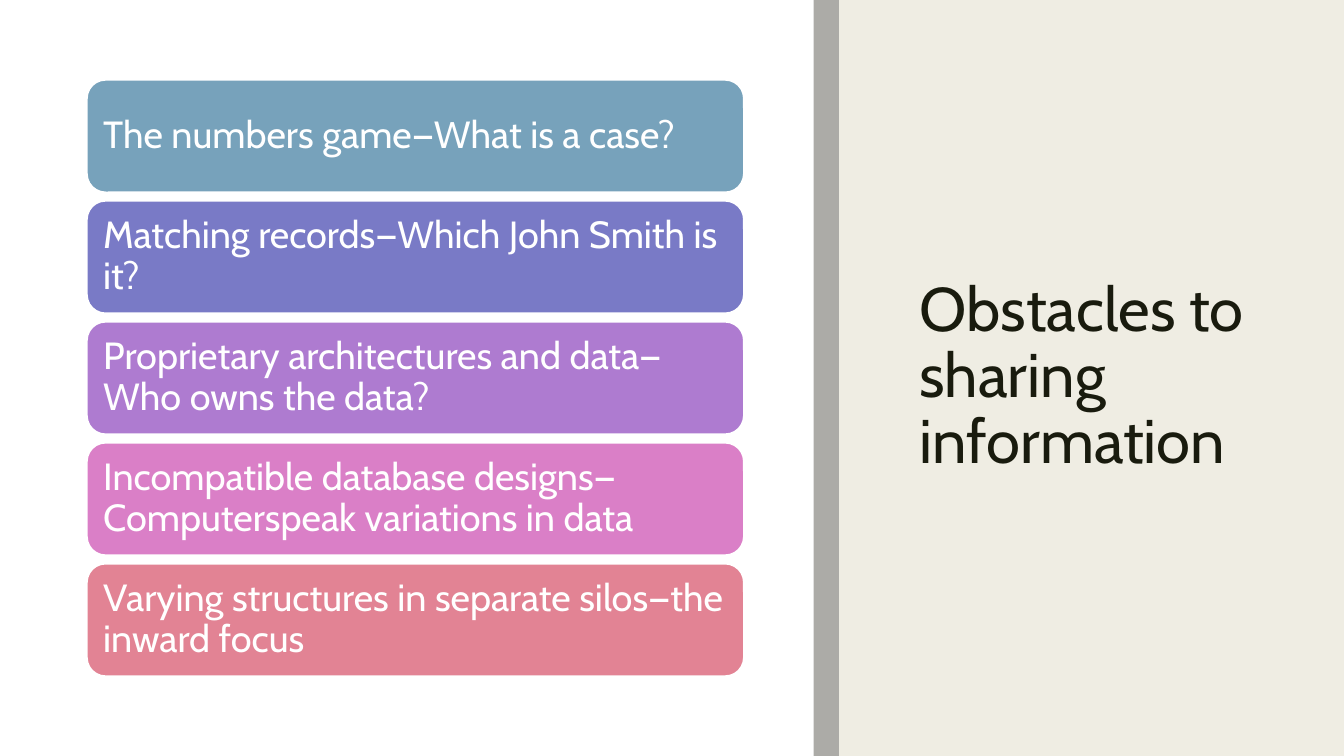
import pptx
import pptx.dml.color
import pptx.enum.shapes
import pptx.enum.text
import pptx.oxml
import pptx.oxml.ns
import pptx.util

Inches = pptx.util.Inches
Shapes = pptx.enum.shapes.MSO_SHAPE

TITLE = "Obstacles to sharing information"
OBSTACLES = [
    ("The numbers game—What is a case?", "77A2BB"),
    ("Matching records—Which John Smith is it?", "797AC6"),
    ("Proprietary architectures and data—Who owns the data?", "AE7BD0"),
    ("Incompatible database designs—Computerspeak variations in data", "DA7FC7"),
    ("Varying structures in separate silos—the inward focus", "E28394"),
]
THEME = {
    "font": "Cabin",
    "white": "FFFFFF",
    "panel": "EFEDE3",
    "divider": "808080",
    "divider_opacity": 60,
    "title_color": "191B0E",
    "title_size": 44,
    "card_size": 27,
    "outline": 1.5,
}
SLIDE_WIDTH, SLIDE_HEIGHT = 13.33, 7.5
DIVIDER_LEFT, DIVIDER_WIDTH = 8.07, 0.25
TITLE_BOX = (9.02, 0.7, 3.61, 6.1)
CARD_LEFT, CARD_TOP, CARD_WIDTH, CARD_HEIGHT = 0.86, 0.79, 6.52, 1.12
CARD_STEP = 1.2
CARD_INSET = 0.11


def color(value):
    return pptx.dml.color.RGBColor.from_string(value)


def add_block(slide, kind, box, fill):
    shape = slide.shapes.add_shape(kind, *map(Inches, box))
    shape.shadow.inherit = False
    shape.fill.solid()
    shape.fill.fore_color.rgb = color(fill)
    shape.line.fill.background()
    return shape


def set_text(shape, text, size, text_color, spacing, inset):
    frame_format = {
        "word_wrap": True,
        "vertical_anchor": pptx.enum.text.MSO_ANCHOR.MIDDLE,
        "margin_left": Inches(inset),
        "margin_right": Inches(inset),
        "margin_top": Inches(inset),
        "margin_bottom": Inches(inset),
    }
    for name, value in frame_format.items():
        setattr(shape.text_frame, name, value)
    paragraph = shape.text_frame.paragraphs[0]
    paragraph.text = text
    paragraph.alignment = pptx.enum.text.PP_ALIGN.LEFT
    paragraph.line_spacing = spacing
    font_format = {"name": THEME["font"], "size": pptx.util.Pt(size)}
    for name, value in font_format.items():
        setattr(paragraph.font, name, value)
    paragraph.font.color.rgb = color(text_color)


def add_panels(slide):
    right_box = (DIVIDER_LEFT, 0, SLIDE_WIDTH - DIVIDER_LEFT, SLIDE_HEIGHT)
    add_block(slide, Shapes.RECTANGLE, right_box, THEME["panel"])
    left_box = (0, 0, DIVIDER_LEFT, SLIDE_HEIGHT)
    add_block(slide, Shapes.RECTANGLE, left_box, THEME["white"])
    divider_box = (DIVIDER_LEFT, 0, DIVIDER_WIDTH, SLIDE_HEIGHT)
    divider = add_block(slide, Shapes.RECTANGLE, divider_box, THEME["divider"])
    fill_color = divider.fill._xPr.find(".//" + pptx.oxml.ns.qn("a:srgbClr"))
    opacity = THEME["divider_opacity"] * 1000
    fill_color.append(pptx.oxml.parse_xml(
        f'<a:alpha {pptx.oxml.ns.nsdecls("a")} val="{opacity}"/>'))


def add_cards(slide):
    for index, (text, fill) in enumerate(OBSTACLES):
        box = (CARD_LEFT, CARD_TOP + index * CARD_STEP, CARD_WIDTH, CARD_HEIGHT)
        card = add_block(slide, Shapes.ROUNDED_RECTANGLE, box, fill)
        card.line.color.rgb = color(THEME["white"])
        card.line.width = pptx.util.Pt(THEME["outline"])
        set_text(card, text, THEME["card_size"], THEME["white"], 0.9, CARD_INSET)


def main():
    presentation = pptx.Presentation()
    presentation.slide_width = Inches(SLIDE_WIDTH)
    presentation.slide_height = Inches(SLIDE_HEIGHT)
    slide = presentation.slides.add_slide(presentation.slide_layouts[6])
    add_panels(slide)
    title = slide.shapes.add_textbox(*map(Inches, TITLE_BOX))
    set_text(title, TITLE, THEME["title_size"], THEME["title_color"], 0.89, 0.1)
    add_cards(slide)
    presentation.save("out.pptx")


if __name__ == "__main__":
    main()
